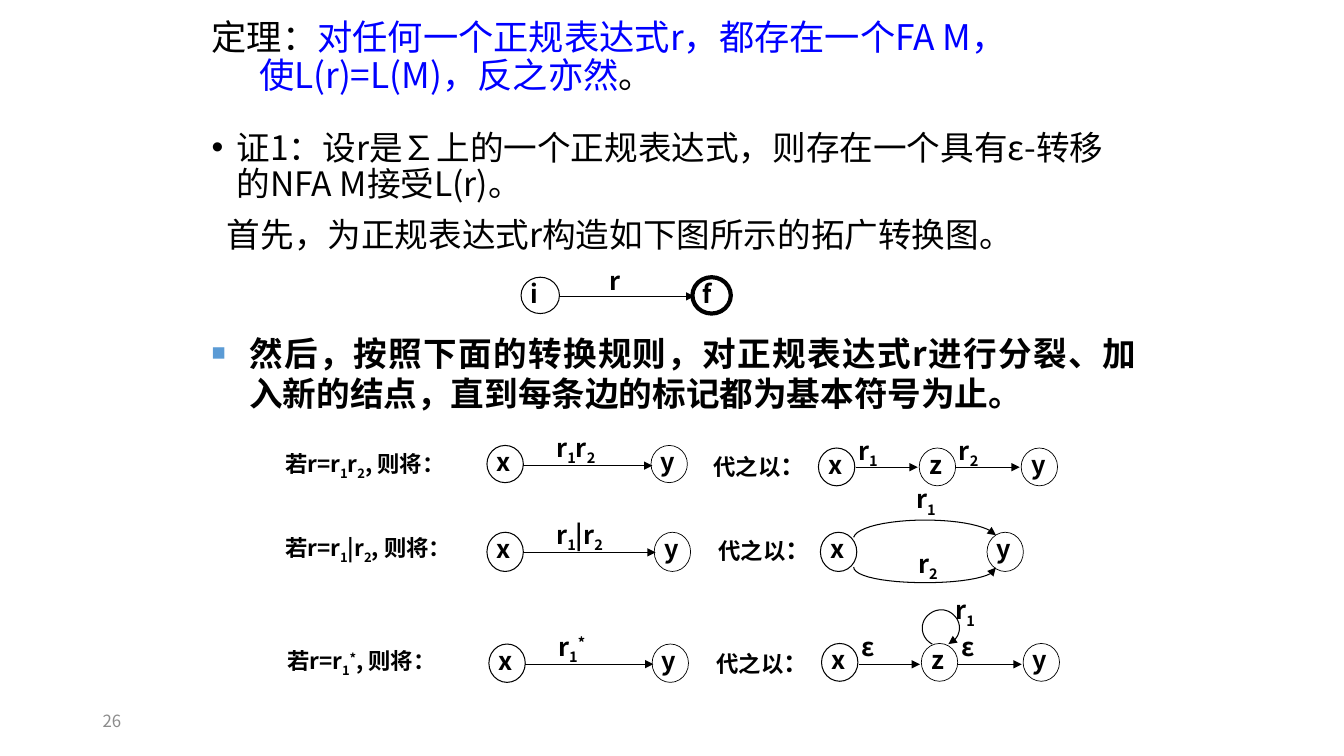
from lxml import etree
from pptx import Presentation
from pptx.dml.color import RGBColor
from pptx.enum.lang import MSO_LANGUAGE_ID
from pptx.enum.shapes import MSO_CONNECTOR, MSO_SHAPE
from pptx.enum.text import MSO_ANCHOR, PP_ALIGN
from pptx.oxml.ns import qn
from pptx.util import Pt

CHINESE = MSO_LANGUAGE_ID.SIMPLIFIED_CHINESE
OVAL = MSO_SHAPE.OVAL
STRAIGHT = MSO_CONNECTOR.STRAIGHT
TOP, MIDDLE = MSO_ANCHOR.TOP, MSO_ANCHOR.MIDDLE
LEFT, JUSTIFY = PP_ALIGN.LEFT, PP_ALIGN.JUSTIFY

COLORS = {"ink": "000000", "paper": "FFFFFF", "claim": "0000FF",
          "bullet": "5B9BD5", "number": "8C8C8C"}
FONT = "Noto Sans CJK SC"
LINE_HEIGHT, MARKED_LINE_HEIGHT = 1.2, 1.36
SHIFTS = {"_": "-25000", "^": "30000"}


def rgb(name):
    return RGBColor.from_string(COLORS[name])


def add_child(parent, tag, **attrs):
    return etree.SubElement(parent, qn(tag), attrs)


def split_marks(text):
    """Split 'r_1^*' into (text, baseline) pieces."""
    pieces, plain, chars = [], "", iter(text)
    for ch in chars:
        if ch in SHIFTS:
            pieces += [(plain, None), (next(chars), SHIFTS[ch])]
            plain = ""
        else:
            plain += ch
    return [piece for piece in pieces + [(plain, None)] if piece[0]]


def curve_points(points, steps=12):
    """Sample a chain of cubic Bezier segments."""
    result = [points[0]]
    for i in range(0, len(points) - 1, 3):
        for n in range(1, steps + 1):
            t = n / steps
            weights = ((1 - t) ** 3, 3 * t * (1 - t) ** 2, 3 * t * t * (1 - t), t ** 3)
            result.append(tuple(sum(w * pt[axis] for w, pt in zip(weights, points[i:i + 4]))
                                for axis in (0, 1)))
    return result


class Diagram:
    def __init__(self, slide):
        self.shapes = slide.shapes
        self.label_style = {"size": 18, "bold": True}

    def text(self, x, y, w, h, paragraphs, anchor=TOP):
        """Each paragraph is (runs, format); each run is (text, format)."""
        tf = self.shapes.add_textbox(Pt(x), Pt(y), Pt(w), Pt(h)).text_frame
        for name, value in {"word_wrap": True, "vertical_anchor": anchor}.items():
            setattr(tf, name, value)
        for i, (runs, fmt) in enumerate(paragraphs):
            p = tf.paragraphs[0] if i == 0 else tf.add_paragraph()
            self.paragraph(p, runs, **fmt)

    def paragraph(self, p, runs, indent=(0, 0), bullet=None, spacing=1, before=0, align=LEFT):
        pPr = p._p.get_or_add_pPr()
        for name, value in zip(("marL", "indent"), indent):
            pPr.set(name, str(Pt(value)))
        if bullet:
            char, color, percent = bullet
            add_child(add_child(pPr, "a:buClr"), "a:srgbClr", val=COLORS[color])
            add_child(pPr, "a:buSzPct", val=str(percent * 1000))
            add_child(pPr, "a:buFont", typeface="Arial")
            add_child(pPr, "a:buChar", char=char)
        else:
            add_child(pPr, "a:buNone")
        marked = any(ch in SHIFTS for text, _ in runs for ch in text)
        height = MARKED_LINE_HEIGHT if marked else LINE_HEIGHT
        biggest = max(fmt["size"] for _, fmt in runs)
        layout = {"line_spacing": Pt(biggest * height * spacing),
                  "space_before": Pt(before), "alignment": align}
        for name, value in layout.items():
            setattr(p, name, value)
        for text, fmt in runs:
            for i, line in enumerate(text.split("\n")):
                if i:
                    p.add_line_break()
                for piece, baseline in split_marks(line):
                    self.run(p, piece, baseline, **fmt)

    def run(self, p, text, baseline, size, bold=False, color="ink"):
        r = p.add_run()
        r.text = text
        font = {"name": FONT, "size": Pt(size), "bold": bold, "language_id": CHINESE}
        for name, value in font.items():
            setattr(r.font, name, value)
        r.font.color.rgb = rgb(color)
        rPr = r._r.get_or_add_rPr()
        add_child(rPr, "a:ea", typeface=FONT)
        if baseline:
            rPr.set("baseline", baseline)

    def label(self, x, y, text, w=43, h=32):
        self.text(x, y, w, h, [([(text, self.label_style)], {})])

    def node(self, x, y, name, w=26, h=27, width=0.5):
        sp = self.shapes.add_shape(OVAL, Pt(x), Pt(y), Pt(w), Pt(h))
        sp.shadow.inherit = False
        sp.fill.solid()
        sp.fill.fore_color.rgb = rgb("paper")
        self.outline(sp, width)
        self.label(x, y - 2.9, name, 33, 34)

    def outline(self, sp, width=0.75, arrow=False):
        sp.line.color.rgb = rgb("ink")
        sp.line.width = Pt(width)
        if arrow:
            add_child(sp.line._get_or_add_ln(), "a:tailEnd", type="triangle")

    def arrow(self, x1, x2, y):
        sp = self.shapes.add_connector(STRAIGHT, Pt(x1), Pt(y), Pt(x2), Pt(y))
        self.outline(sp, arrow=True)
        add_child(sp._element.spPr, "a:effectLst")

    def curve(self, points):
        pts = [(Pt(x), Pt(y)) for x, y in curve_points(points)]
        builder = self.shapes.build_freeform(*pts[0], scale=1.0)
        builder.add_line_segments(pts[1:], close=False)
        sp = builder.convert_to_shape()
        sp.shadow.inherit = False
        sp.fill.background()
        self.outline(sp, arrow=True)

    def rule(self, text, mark, y, h, x, end_x, text_x, text_y, replace_x):
        """Left half of a rewriting rule, up to the words before its result."""
        self.text(text_x, text_y, 150, 27, [([(text, {"size": 16, "bold": True})], {})])
        self.node(x, y, "x", h=h, width=0.75)
        self.node(end_x, y, "y", h=h)
        self.arrow(x + 26, end_x + 1, y + 14.4)
        self.label(x + 42.5, y - 12.8, mark, 58)
        self.text(replace_x, text_y, 86, 32, [([("代之以", {"size": 16, "bold": True}),
                                                ("：", self.label_style)], {})])

    def chain(self, xs, y, edge_y, marks):
        """Three nodes x, z, y joined by two marked arrows."""
        for x, name, width in zip(xs, "xzy", (0.75, 0.5, 0.5)):
            self.node(x, y, name, width=width)
        for x, end_x, mark in zip(xs, xs[1:], marks):
            self.arrow(x + 26.5, end_x - 1, edge_y)
            self.label(x + 21.3, y - 12.5, mark)


def main():
    prs = Presentation()
    prs.slide_width, prs.slide_height = Pt(960), Pt(540)
    d = Diagram(prs.slides.add_slide(prs.slide_layouts[6]))

    title = {"size": 25.2}
    d.text(144, 12.2, 678, 57.6, [(
        [("定理：", title),
         ("对任何一个正规表达式r，都存在一个FA M，\n使L(r)=L(M)，反之亦然", {**title, "color": "claim"}),
         ("。", title)], {"indent": (34, -34), "spacing": 0.9})], MIDDLE)
    body = {"size": 24}
    d.text(144, 90, 675, 108, [
        ([("证1：设r是∑上的一个正规表达式，则存在一个具有ε-转移的NFA M接受L(r)。", body)],
         {"indent": (18, -18), "bullet": ("•", "ink", 100), "spacing": 0.9}),
        ([("首先，为正规表达式r构造如下图所示的拓广转换图。", body)],
         {"indent": (11, 0), "spacing": 0.9, "before": 10})])

    d.node(372.2, 198, "i", 27.4, 26, 0.75)
    d.node(494.6, 198, "f", 27.4, 26, 3)
    d.arrow(399.6, 496, 211.7)
    d.label(428.4, 185.8, "r", 30)

    d.text(144, 234, 675, 66, [(
        [("然后，按照下面的转换规则，对正规表达式r进行分裂、加入新的结点，直到每条边的标记都为基本符号为止。",
          {**body, "bold": True})],
        {"indent": (27, -27), "bullet": ("■", "bullet", 70), "align": JUSTIFY})])

    rules = [
        ("若r=r_1r_2, 则将：", "r_1r_2", 318.2, 26.6, 347.8, 465, 196.6, 318.2, 502.6),
        ("若r=r_1|r_2, 则将：", "r_1|r_2", 380.2, 28, 347.8, 467.3, 196.6, 378, 506.2),
        ("若r=r_1^*, 则将：", "r_1^*", 460, 27.4, 349.2, 465.8, 198, 459, 504.7),
    ]
    for rule in rules:
        d.rule(*rule)

    d.chain((584.6, 656.6, 729.4), 320, 333.7, ("r_1", "r_2"))

    d.node(586, 380.2, "x", h=28, width=0.75)
    d.node(705, 380.2, "y", h=28)
    d.curve([(609.8, 405), (609.8, 411.8), (632.2, 416.2), (661, 416.2),
             (688.7, 416.2), (711.4, 411.8), (711.4, 405.4)])
    d.curve([(609.8, 383.8), (612, 376.6), (634.3, 371.5), (661, 371.5),
             (685.4, 371.5), (706.3, 375.8), (711.4, 382.3)])
    d.label(647.3, 342, "r_1")
    d.label(648.7, 388, "r_2")

    d.chain((586.8, 658.1, 730.8), 459.6, 474.5, ("ε", "ε"))
    d.curve([(666, 460.1), (661.7, 457.9), (658.8, 453.6), (658.8, 448.6),
             (658.8, 441.4), (665.3, 435.6), (672.5, 435.6),
             (679, 435.6), (685.4, 441.4), (685.4, 448.6),
             (685.4, 453.6), (681.8, 458.6), (677.5, 460.1)])
    d.label(675.4, 421.2, "r_1")

    d.text(66.2, 500.4, 216, 28.8,
           [([("26", {"size": 12, "color": "number"})], {})], MIDDLE)
    prs.save("out.pptx")


if __name__ == "__main__":
    main()
